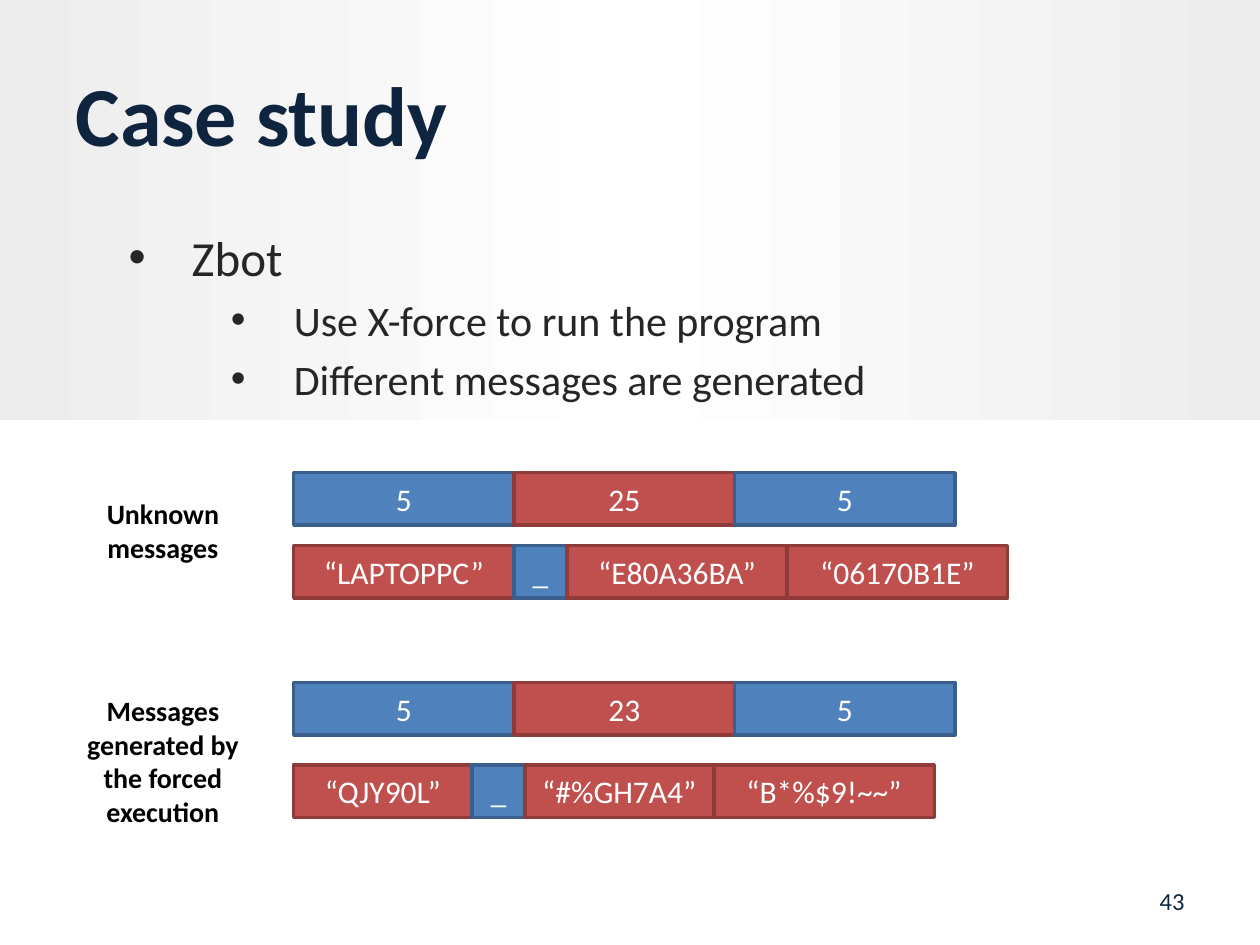
from lxml.etree import SubElement
from pptx import Presentation
from pptx.dml.color import RGBColor
from pptx.enum.shapes import MSO_SHAPE
from pptx.enum.text import MSO_ANCHOR, MSO_AUTO_SIZE, PP_ALIGN
from pptx.oxml.ns import qn
from pptx.util import Cm, Pt

TITLE = "Case study"
# text, level
POINTS = [
    ("Zbot", 0),
    ("Use X-force to run the program", 1),
    ("Different messages are generated", 1),
]
# size, left margin in cm
LEVELS = [(28, 1.27), (24, 3.33)]
HANG = 1.27

BLUE = ("4F81BD", "3A5F8C")
RED = ("C0504D", "8E3B39")
WIDE, SLIM = 4.445, 1.06
LEFT, HIGH = 5.92, 1.06
# top, then text, width and colours of each field
ROWS = [
    (9.53, [("5", WIDE, BLUE), ("25", WIDE, RED), ("5", WIDE, BLUE)]),
    (11.0, [("“LAPTOPPC”", WIDE, RED), ("_", SLIM, BLUE),
            ("“E80A36BA”", WIDE, RED), ("“06170B1E”", WIDE, RED)]),
    (13.76, [("5", WIDE, BLUE), ("23", WIDE, RED), ("5", WIDE, BLUE)]),
    (15.42, [("“QJY90L”", 3.6, RED), ("_", SLIM, BLUE),
             ("“#%GH7A4”", 3.81, RED), ("“B*%$9!~~”", WIDE, RED)]),
]
# text, box, size, colour, bold, alignment
NOTES = [
    ("Unknown messages", (1.06, 10.16, 4.45, 1.06),
     16, "000000", True, PP_ALIGN.CENTER),
    ("Messages generated by the forced execution", (1.06, 13.13, 4.45, 4.42),
     16, "000000", True, PP_ALIGN.CENTER),
    ("43", (18.21, 17.65, 5.92, 1.02), 14, "0F243E", False, PP_ALIGN.RIGHT),
]
BAND = [(0, "EDEDED"), (50, "FFFFFF"), (100, "EDEDED")]


def rgb(code):
    return RGBColor.from_string(code)


def style(para, size, color, bold=False, align=PP_ALIGN.LEFT):
    para.alignment = align
    for run in para.runs:
        font = run.font
        font.name, font.size, font.bold = "Calibri", Pt(size), bold
        font.color.rgb = rgb(color)


def place(shape, box):
    shape.left, shape.top, shape.width, shape.height = map(Cm, box)


def add_rect(slide, box):
    rect = slide.shapes.add_shape(MSO_SHAPE.RECTANGLE, *map(Cm, box))
    rect.shadow.inherit = False
    return rect


def add_band(slide):
    """Add the shaded band behind everything else."""
    band = add_rect(slide, (0, 0, 25.4, 8.47))
    band.line.fill.background()
    band.fill.gradient()
    band.fill.gradient_angle = 0
    stops = band.element.spPr.find(".//" + qn("a:gsLst"))
    for stop in list(stops):
        stops.remove(stop)
    for pos, color in BAND:
        stop = SubElement(stops, qn("a:gs"), pos=str(pos * 1000))
        SubElement(stop, qn("a:srgbClr"), val=color)
    slide.shapes._spTree.insert(2, band.element)


def add_points(body):
    place(body, (2.34, 4.45, 21.79, 12.57))
    frame = body.text_frame
    frame.auto_size = MSO_AUTO_SIZE.NONE
    frame.text = "\n".join(text for text, _ in POINTS)
    for para, (_, level) in zip(frame.paragraphs, POINTS):
        size, margin = LEVELS[level]
        para.level = level
        style(para, size, "262626")
        props = para._p.get_or_add_pPr()
        props.set("marL", str(Cm(margin)))
        props.set("indent", str(-Cm(HANG)))
        SubElement(props, qn("a:buFont"), typeface="Arial")
        SubElement(props, qn("a:buChar"), char="•")


def add_row(slide, top, fields):
    left = LEFT
    for text, width, (fill, edge) in fields:
        cell = add_rect(slide, (left, top, width, HIGH))
        cell.fill.solid()
        cell.fill.fore_color.rgb = rgb(fill)
        cell.line.color.rgb = rgb(edge)
        cell.line.width = Pt(2)
        frame = cell.text_frame
        frame.text = text
        frame.vertical_anchor = MSO_ANCHOR.MIDDLE
        style(frame.paragraphs[0], 18, "FFFFFF", align=PP_ALIGN.CENTER)
        left += width


def add_note(slide, text, box, *look):
    frame = slide.shapes.add_textbox(*map(Cm, box)).text_frame
    frame.word_wrap = True
    frame.vertical_anchor = MSO_ANCHOR.MIDDLE
    frame.text = text
    style(frame.paragraphs[0], *look)


def main():
    deck = Presentation()
    deck.slide_width, deck.slide_height = Cm(25.4), Cm(19.05)
    slide = deck.slides.add_slide(deck.slide_layouts[1])
    add_band(slide)

    title = slide.shapes.title
    place(title, (1.27, 0.76, 22.86, 3.05))
    title.text_frame.text = TITLE
    title.text_frame.vertical_anchor = MSO_ANCHOR.MIDDLE
    style(title.text_frame.paragraphs[0], 48, "0F243E", True)

    add_points(slide.placeholders[1])
    for top, fields in ROWS:
        add_row(slide, top, fields)
    for note in NOTES:
        add_note(slide, *note)
    deck.save("out.pptx")


if __name__ == "__main__":
    main()
